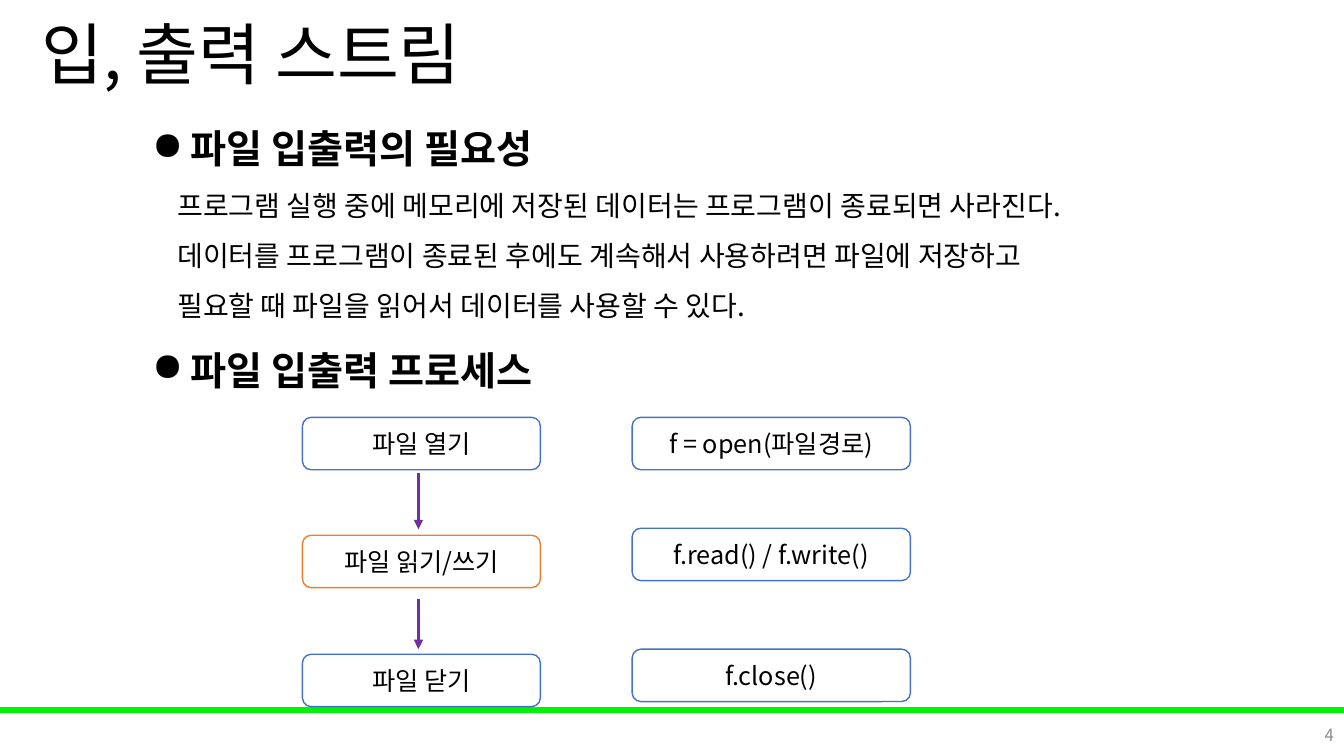
"""Build a slide on file input and output streams."""
from lxml import etree
from pptx import Presentation
from pptx import util as u
from pptx.dml.color import RGBColor
from pptx.enum import shapes, text
from pptx.oxml.ns import qn

FONT = "Noto Sans CJK KR"
COLORS = {
    "black": "000000",
    "white": "FFFFFF",
    "gray": "8C8C8C",
    "green": "00F209",
    "blue": "4472C4",
    "orange": "ED7D31",
    "purple": "7030A0",
}
BOX_HEIGHT = 0.52
STEPS = [
    ("파일 열기", 4.14, "blue"),
    ("파일 읽기/쓰기", 5.31, "orange"),
    ("파일 닫기", 6.49, "blue"),
]
CALLS = [
    ("f = open(파일경로)", 4.14),
    ("f.read() / f.write()", 5.24),
    ("f.close()", 6.44),
]
ARROWS = [(4.69, 5.25), (5.94, 6.44)]
BODY = [
    ("파일 입출력의 필요성", True),
    ("프로그램 실행 중에 메모리에 저장된 데이터는 프로그램이 종료되면 사라진다.", False),
    ("데이터를 프로그램이 종료된 후에도 계속해서 사용하려면 파일에 저장하고", False),
    ("필요할 때 파일을 읽어서 데이터를 사용할 수 있다.", False),
    ("파일 입출력 프로세스", True),
]


def rgb(name):
    """Return the named colour."""
    return RGBColor.from_string(COLORS[name])


def set_text(p, content, size, color="black", bold=False, align=text.PP_ALIGN.LEFT):
    """Write one paragraph in the slide font."""
    p.add_run().text = content
    p.alignment = align
    p.font.size = u.Pt(size)
    p.font.bold = bold
    p.font.color.rgb = rgb(color)
    p.font.name = FONT
    defaults = p._p.pPr.find(qn("a:defRPr"))
    etree.SubElement(defaults, qn("a:ea"), typeface=FONT)


def set_indent(p, left, first=0):
    """Set the left margin and first-line indent of a paragraph."""
    p._p.pPr.set("marL", str(u.Inches(left)))
    p._p.pPr.set("indent", str(u.Inches(first)))


def add_bullet(p):
    """Give a paragraph a round bullet."""
    bullet = etree.Element(qn("a:buChar"), char="●")
    p._p.pPr.find(qn("a:defRPr")).addprevious(bullet)


def add_textbox(s, left, top, width, height, anchor=text.MSO_ANCHOR.MIDDLE):
    """Add a wrapping text box and return its text frame."""
    tf = s.shapes.add_textbox(*map(u.Inches, (left, top, width, height))).text_frame
    tf.word_wrap = True
    tf.vertical_anchor = anchor
    return tf


def add_shape(s, kind, left, top, width, height, fill, line):
    """Add a filled and outlined shape."""
    sp = s.shapes.add_shape(kind, *map(u.Inches, (left, top, width, height)))
    sp.shadow.inherit = False
    sp.fill.solid()
    sp.fill.fore_color.rgb = rgb(fill)
    sp.line.color.rgb = rgb(line)
    sp.line.width = u.Pt(1)
    return sp


def add_box(s, content, left, top, width, line="blue"):
    """Add a rounded box with a centred label."""
    kind = shapes.MSO_SHAPE.ROUNDED_RECTANGLE
    sp = add_shape(s, kind, left, top, width, BOX_HEIGHT, "white", line)
    tf = sp.text_frame
    tf.word_wrap = True
    tf.vertical_anchor = text.MSO_ANCHOR.MIDDLE
    set_text(tf.paragraphs[0], content, 18, align=text.PP_ALIGN.CENTER)


def add_arrow(s, x, top, bottom):
    """Add a downward arrow."""
    ends = map(u.Inches, (x, top, x, bottom))
    arrow = s.shapes.add_connector(shapes.MSO_CONNECTOR.STRAIGHT, *ends)
    arrow.line.color.rgb = rgb("purple")
    arrow.line.width = u.Pt(2.25)
    etree.SubElement(arrow.line._get_or_add_ln(), qn("a:tailEnd"), type="triangle")
    etree.SubElement(arrow._element.spPr, qn("a:effectLst"))


def add_body(s):
    """Add the headings and the explanation."""
    tf = add_textbox(s, 1.41, 0.95, 10.97, 2.96, text.MSO_ANCHOR.TOP)
    for i, (content, heading) in enumerate(BODY):
        p = tf.add_paragraph() if i else tf.paragraphs[0]
        set_text(p, content, 28 if heading else 20, bold=heading)
        p.line_spacing = 1.5
        if heading:
            set_indent(p, 0.38, -0.38)
            add_bullet(p)
        else:
            set_indent(p, 0.25)


def main():
    """Build and save the slide."""
    prs = Presentation()
    prs.slide_width, prs.slide_height = u.Inches(13.33), u.Inches(7.5)
    s = prs.slides.add_slide(prs.slide_layouts[6])
    add_shape(s, shapes.MSO_SHAPE.RECTANGLE, 0, 7.02, 13.33, 0.05, "green", "green")
    number = add_textbox(s, 10.33, 7.09, 3, 0.4).paragraphs[0]
    set_text(number, "4", 12, "gray", align=text.PP_ALIGN.RIGHT)
    for content, top, line in STEPS:
        add_box(s, content, 3, top, 2.36, line)
    for top, bottom in ARROWS:
        add_arrow(s, 4.15, top, bottom)
    add_body(s)
    for content, top in CALLS:
        add_box(s, content, 6.27, top, 2.76)
    title = add_textbox(s, 0.01, 0.05, 5.41, 0.94).paragraphs[0]
    set_text(title, "입, 출력 스트림", 48)
    set_indent(title, 0.3)
    prs.save("out.pptx")


if __name__ == "__main__":
    main()
